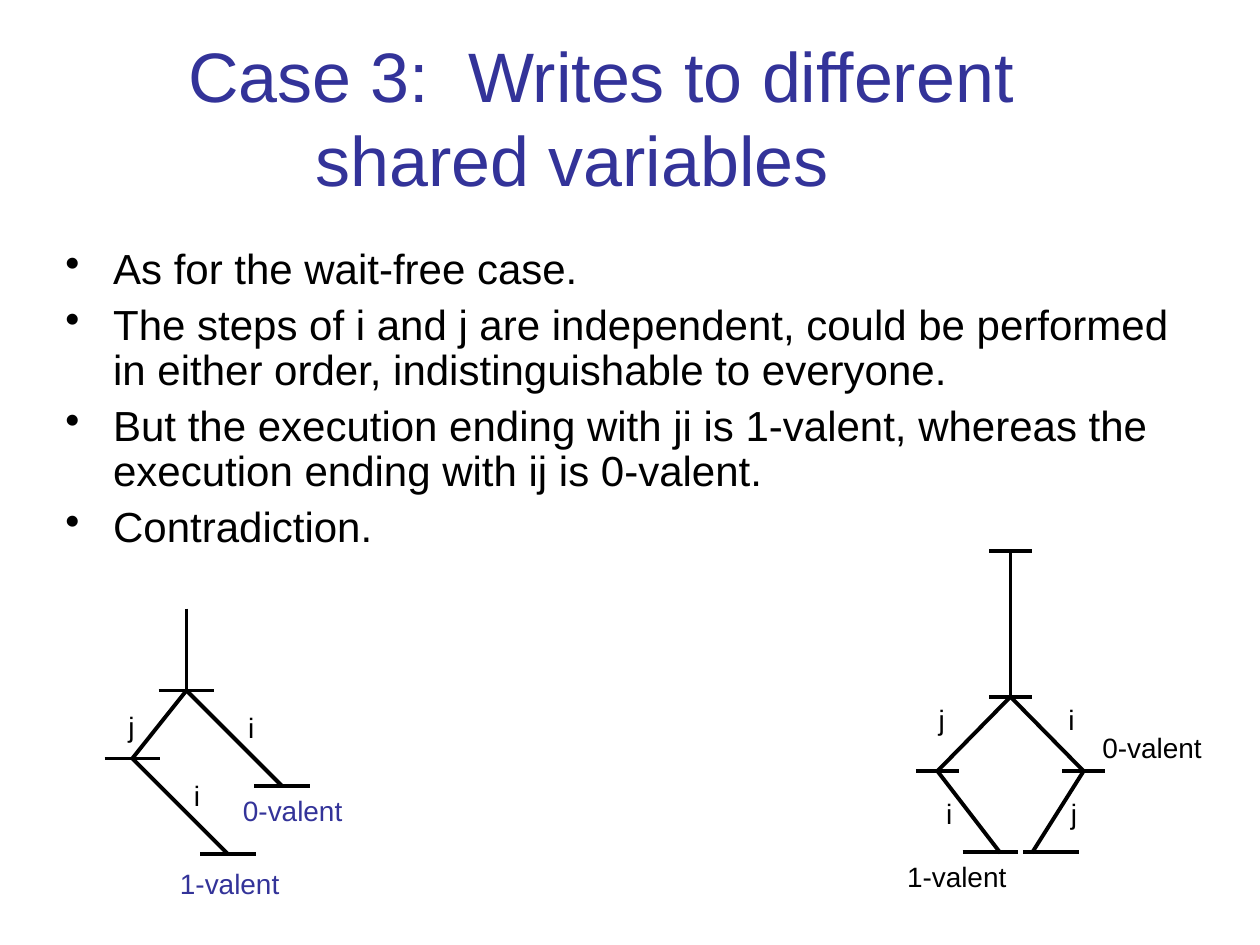
from lxml import etree
from pptx import Presentation
from pptx import util as u
from pptx.dml.color import RGBColor
from pptx.enum import shapes, text
from pptx.oxml import ns

BLACK = RGBColor(0x00, 0x00, 0x00)
BLUE = RGBColor(0x33, 0x33, 0x99)

POINTS = [
    "As for the wait-free case.",
    "The steps of i and j are independent, could be performed in either order, "
    "indistinguishable to everyone.",
    "But the execution ending with ji is 1-valent, whereas the execution "
    "ending with ij is 0-valent.",
    "Contradiction.",
]


class Deck:
    font = "Arial"
    weight = u.Pt(2.25)

    def __init__(self):
        self.prs = Presentation()
        self.prs.slide_width = u.Inches(10)
        self.prs.slide_height = u.Inches(7.5)
        self.slide = self.prs.slides.add_slide(self.prs.slide_layouts[6])

    def words(self, box, lines, size, color=BLACK, wrap=True, anchor="TOP", **form):
        """Add a text box with one paragraph per line; return the paragraphs."""
        frame = self.slide.shapes.add_textbox(*map(u.Inches, box)).text_frame
        frame.word_wrap = wrap
        frame.vertical_anchor = text.MSO_ANCHOR[anchor]
        frame.text = "\n".join(lines)
        for para in frame.paragraphs:
            for name, value in form.items():
                setattr(para, name, value)
            para.font.color.rgb = color
            for name, value in {"name": self.font, "size": u.Pt(size)}.items():
                setattr(para.font, name, value)
        return frame.paragraphs

    def title(self, box, lines, shifts):
        """Centre each line, with its own right margin in inches."""
        paras = self.words(box, lines, 40, BLUE, anchor="MIDDLE",
                           alignment=text.PP_ALIGN.CENTER)
        for para, shift in zip(paras, shifts):
            para._p.get_or_add_pPr().set("marR", str(u.Inches(shift)))

    def bullets(self, box, lines):
        form = {"line_spacing": 0.9, "space_before": u.Pt(6)}
        for para in self.words(box, lines, 24, **form):
            props = para._p.get_or_add_pPr()
            props.set("marL", str(u.Inches(0.38)))
            props.set("indent", str(u.Inches(-0.38)))
            mark = etree.Element(ns.qn("a:buChar"), char="•")
            props.insert_element_before(mark, "a:tabLst", "a:defRPr", "a:extLst")

    def label(self, x, y, word, color=BLACK):
        width = 0.25 if len(word) == 1 else 0.99
        self.words((x, y, width, 0.37), [word], 16, color, wrap=False)

    def line(self, start, end):
        ends = map(u.Inches, (*start, *end))
        edge = self.slide.shapes.add_connector(shapes.MSO_CONNECTOR.STRAIGHT, *ends)
        edge.line.color.rgb = BLACK
        edge.line.width = self.weight
        etree.SubElement(edge._element.spPr, ns.qn("a:effectLst"))

    def tree(self, edges, ticks, half):
        """Draw edges, and level ticks reaching half to each side of a node."""
        for start, end in edges:
            self.line(start, end)
        for x, y in ticks:
            self.line((x - half, y), (x + half, y))


def main():
    deck = Deck()
    deck.title((0.5, 0.3, 9, 1.25),
               ["Case 3:  Writes to different", "shared variables"], (0.46, 0.92))
    deck.bullets((0.42, 1.92, 9, 4.25), POINTS)

    # Left tree: j then i on one branch, i alone on the other
    top, fork, left, right, leaf = (
        (1.48, 4.83), (1.48, 5.48), (1.05, 6.02), (2.24, 6.24), (1.81, 6.78))
    deck.tree([(top, fork), (fork, left), (fork, right), (left, leaf)],
              [fork, left, right, leaf], 0.22)
    for x, y, word in [(0.92, 5.58, "j"), (1.87, 5.59, "i"), (1.44, 6.13, "i")]:
        deck.label(x, y, word)
    deck.label(1.83, 6.25, "0-valent", BLUE)
    deck.label(1.33, 6.83, "1-valent", BLUE)

    # Right tree: both orders, ending side by side
    top, fork, left, right = (8.02, 4.37), (8.02, 5.53), (7.44, 6.12), (8.6, 6.12)
    deck.tree([(top, fork), (fork, left), (fork, right)],
              [top, fork, left, right], 0.17)
    deck.tree([(left, (7.94, 6.77)), (right, (8.19, 6.77))],
              [(7.86, 6.76), (8.34, 6.76)], 0.22)
    for x, y, word in [(7.35, 5.53, "j"), (8.38, 5.53, "i"),
                       (7.41, 6.27, "i"), (8.4, 6.27, "j"),
                       (8.65, 5.75, "0-valent"), (7.1, 6.77, "1-valent")]:
        deck.label(x, y, word)

    deck.prs.save("out.pptx")


if __name__ == "__main__":
    main()
